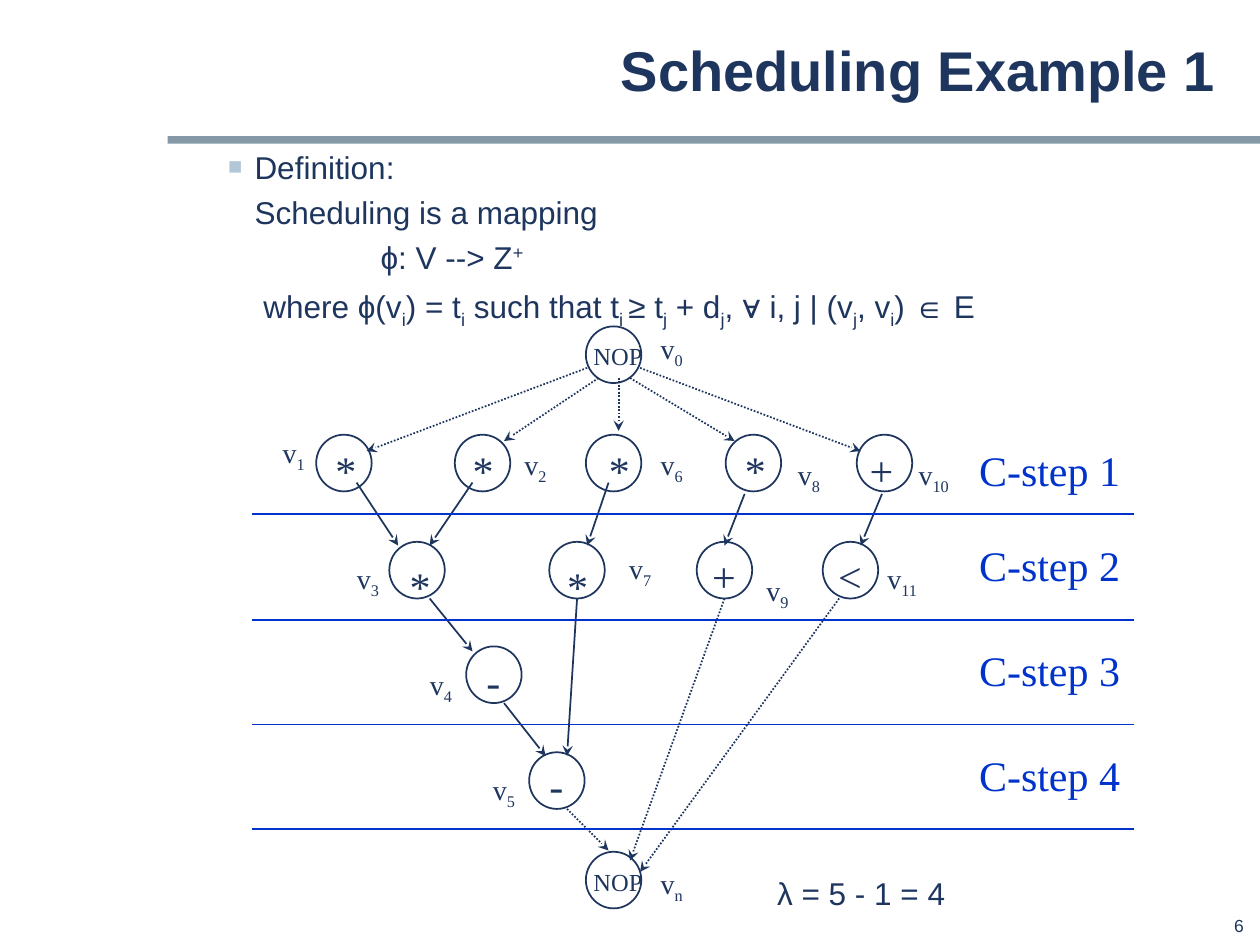
from pptx import Presentation
from pptx.dml.color import RGBColor
from pptx.enum.dml import MSO_LINE
from pptx.enum.shapes import MSO_CONNECTOR, MSO_SHAPE
from pptx.enum.text import MSO_ANCHOR, MSO_AUTO_SIZE, PP_ALIGN
from pptx.oxml.ns import qn
from pptx.util import Inches, Pt
from lxml.etree import SubElement

COLORS = {"navy": "1E355E", "blue": "0033CC", "bar": "8499A5", "bullet": "B1C6D7"}
SANS, SERIF = "Arial", "Times New Roman"
NODE_WIDTH, NODE_HEIGHT = 0.44, 0.45
SYMBOL_WIDTHS = {"NOP": 0.59, "*": 0.37, "+": 0.39, "<": 0.39, "-": 0.31}

# node left, top; symbol, left, top; label subscript, left, top
NODES = [
    (4.65, 2.59, "NOP", 4.61, 2.66, "0", 5.14, 2.58),
    (2.51, 3.45, "*", 2.56, 3.48, "1", 2.14, 3.41),
    (3.61, 3.45, "*", 3.65, 3.48, "2", 4.06, 3.5),
    (4.65, 3.45, "*", 4.73, 3.48, "6", 5.14, 3.5),
    (5.76, 3.45, "*", 5.81, 3.48, "8", 6.23, 3.58),
    (6.8, 3.45, "+", 6.8, 3.48, "10", 7.19, 3.58),
    (3.09, 4.3, "*", 3.15, 4.4, "3", 2.73, 4.41),
    (4.36, 4.3, "*", 4.4, 4.4, "7", 4.89, 4.33),
    (5.53, 4.3, "+", 5.55, 4.32, "9", 5.98, 4.5),
    (6.53, 4.3, "<", 6.55, 4.32, "11", 6.94, 4.41),
    (3.7, 5.13, "-", 3.76, 5.15, "4", 3.31, 5.25),
    (4.2, 5.97, "-", 4.26, 5.98, "5", 3.81, 6.08),
    (4.65, 6.76, "NOP", 4.61, 6.83, "n", 5.14, 6.83),
]
DOTTED_EDGES = [
    (4.66, 2.92, 2.91, 3.58), (5.08, 2.92, 6.83, 3.58), (4.75, 3, 4, 3.5),
    (4.91, 3, 4.91, 3.42), (5, 3, 5.83, 3.5), (4.5, 6.42, 4.83, 6.75),
    (5.75, 4.75, 5, 6.83), (6.66, 4.75, 5.08, 6.92),
]
SOLID_EDGES = [
    (2.83, 3.83, 3.16, 4.33), (3.75, 3.83, 3.41, 4.33), (4.83, 3.83, 4.66, 4.33),
    (5.91, 3.92, 5.75, 4.33), (7, 3.92, 6.83, 4.33), (3.41, 4.75, 3.75, 5.17),
    (4, 5.58, 4.33, 6), (4.58, 4.75, 4.5, 6),
]
# top of the step label, height of the line that closes the step
STEPS = [(3.48, 4.08), (4.23, 4.92), (5.07, 5.75), (5.9, 6.58)]
# left margin, whether bulleted, (text, baseline in percent) spans
DEFINITION = [
    (0.73, True, [("Definition:", 0)]),
    (0.73, False, [("Scheduling is a mapping", 0)]),
    (1.73, False, [("ϕ: V --> Z", 0), ("+", 30)]),
    (0.8, False, [
        ("where ϕ(v", 0), ("i", -25), (") = t", 0), ("i", -25), (" such that t", 0),
        ("i ", -25), ("≥ t", 0), ("j", -25), (" + d", 0), ("j", -25),
        (", ∀ i, j | (v", 0), ("j", -25), (", v", 0), ("i", -25), (") ∈ E", 0)]),
]


def rgb(name):
    return RGBColor.from_string(COLORS[name])


class SlideBuilder:
    def __init__(self, slide):
        self.slide = slide
        self.shapes = slide.shapes

    def place(self, shape, left, top, width, height):
        shape.left, shape.top = Inches(left), Inches(top)
        shape.width, shape.height = Inches(width), Inches(height)

    def add_spans(self, para, spans, size, font=SANS, color="navy", bold=False):
        """Add (text, baseline) spans; a nonzero baseline raises or lowers the span."""
        for text, baseline in spans:
            span = para.add_run()
            span.text = text
            span.font.size, span.font.name, span.font.bold = Pt(size), font, bold
            span.font.color.rgb = rgb(color)
            if baseline:
                span._r.get_or_add_rPr().set("baseline", str(baseline * 1000))

    def title(self, text):
        title = self.shapes.title
        self.place(title, 1.33, 0.17, 8.42, 0.83)
        frame = title.text_frame
        frame.auto_size = MSO_AUTO_SIZE.NONE
        frame.vertical_anchor = MSO_ANCHOR.MIDDLE
        para = frame.paragraphs[0]
        para.alignment, para.line_spacing = PP_ALIGN.RIGHT, 0.88
        self.add_spans(para, [(text, 0)], 32, bold=True)

    def body(self, items):
        body = self.slide.placeholders[1]
        self.place(body, 1.19, 1.16, 8.42, 5.87)
        frame = body.text_frame
        frame.auto_size = MSO_AUTO_SIZE.NONE
        for index, (margin, bulleted, spans) in enumerate(items):
            para = frame.add_paragraph() if index else frame.paragraphs[0]
            para.level = 1
            para.line_spacing = 0.88
            para.space_before = Pt(6.8 if index else 0)
            self.bullet(para, margin, bulleted)
            self.add_spans(para, spans, 18)

    def bullet(self, para, margin, bulleted):
        properties = para._p.get_or_add_pPr()
        properties.set("marL", str(Inches(margin)))
        properties.set("indent", str(Inches(-0.21 if bulleted else 0)))
        if not bulleted:
            SubElement(properties, qn("a:buNone"))
            return
        color = SubElement(properties, qn("a:buClr"))
        SubElement(color, qn("a:srgbClr"), val=COLORS["bullet"])
        SubElement(properties, qn("a:buSzPct"), val="75000")
        SubElement(properties, qn("a:buFont"), typeface=SANS)
        SubElement(properties, qn("a:buChar"), char="■")

    def text(self, spans, left, top, width, height, size, font=SERIF, color="navy",
             align=PP_ALIGN.CENTER):
        box = self.shapes.add_textbox(
            Inches(left), Inches(top), Inches(width), Inches(height))
        frame = box.text_frame
        frame.word_wrap = False
        frame.auto_size = MSO_AUTO_SIZE.SHAPE_TO_FIT_TEXT
        para = frame.paragraphs[0]
        para.alignment = align
        self.add_spans(para, spans, size, font, color)

    def bar(self, left, top, width, height):
        bar = self.shapes.add_shape(MSO_SHAPE.RECTANGLE, Inches(left), Inches(top),
                                    Inches(width), Inches(height))
        bar.shadow.inherit = False
        bar.fill.solid()
        bar.fill.fore_color.rgb = rgb("bar")
        bar.line.fill.background()

    def node(self, left, top):
        node = self.shapes.add_shape(MSO_SHAPE.OVAL, Inches(left), Inches(top),
                                     Inches(NODE_WIDTH), Inches(NODE_HEIGHT))
        node.shadow.inherit = False
        node.fill.background()
        node.line.color.rgb = rgb("navy")
        node.line.width = Pt(1)

    def line(self, ends, color="navy", dotted=False, arrow=False):
        line = self.shapes.add_connector(
            MSO_CONNECTOR.STRAIGHT, *[Inches(value) for value in ends])
        line.line.color.rgb = rgb(color)
        line.line.width = Pt(1)
        if dotted:
            line.line.dash_style = MSO_LINE.ROUND_DOT
        properties = line._element.spPr
        if arrow:
            SubElement(properties.find(qn("a:ln")), qn("a:tailEnd"), type="stealth")
        SubElement(properties, qn("a:effectLst"))


def main():
    deck = Presentation()
    deck.slide_width, deck.slide_height = Inches(10), Inches(7.5)
    builder = SlideBuilder(deck.slides.add_slide(deck.slide_layouts[1]))

    builder.bar(1.33, 1.08, 8.67, 0.06)
    builder.title("Scheduling Example 1")
    builder.body(DEFINITION)
    builder.text([("6", 0)], 9.32, 7.21, 0.65, 0.26, 10, SANS, align=PP_ALIGN.RIGHT)

    for left, top, *_ in NODES:
        builder.node(left, top)
    for ends in DOTTED_EDGES:
        builder.line(ends, dotted=True, arrow=True)
    for ends in SOLID_EDGES:
        builder.line(ends, arrow=True)
    for _, _, symbol, symbol_left, symbol_top, index, label_left, label_top in NODES:
        height, size = (0.33, 14) if symbol == "NOP" else (0.5, 24)
        builder.text([(symbol, 0)], symbol_left, symbol_top, SYMBOL_WIDTHS[symbol],
                     height, size)
        builder.text([("v", 0), (index, -25)], label_left, label_top,
                     0.32 + 0.06 * len(index), 0.4, 16)

    for number, (label_top, line_top) in enumerate(STEPS, start=1):
        builder.line((2, line_top, 9, line_top), "blue")
        builder.text([(f"C-step {number}", 0)], 7.67, label_top, 1.32, 0.5, 24,
                     color="blue")
    builder.text([("λ = 5 - 1 = 4", 0)], 6.06, 6.89, 1.55, 0.4, 18, SANS)

    deck.save("out.pptx")


if __name__ == "__main__":
    main()
